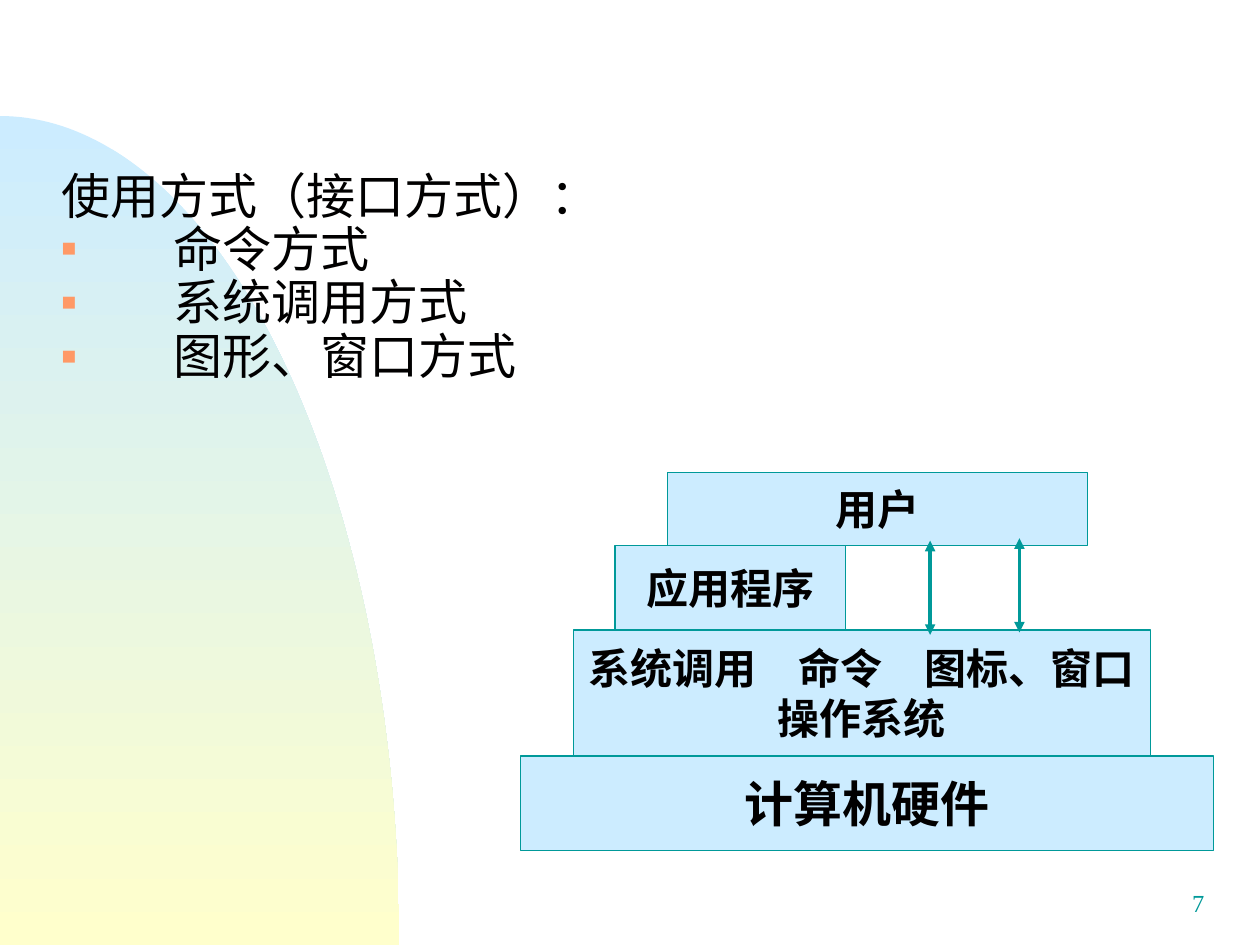
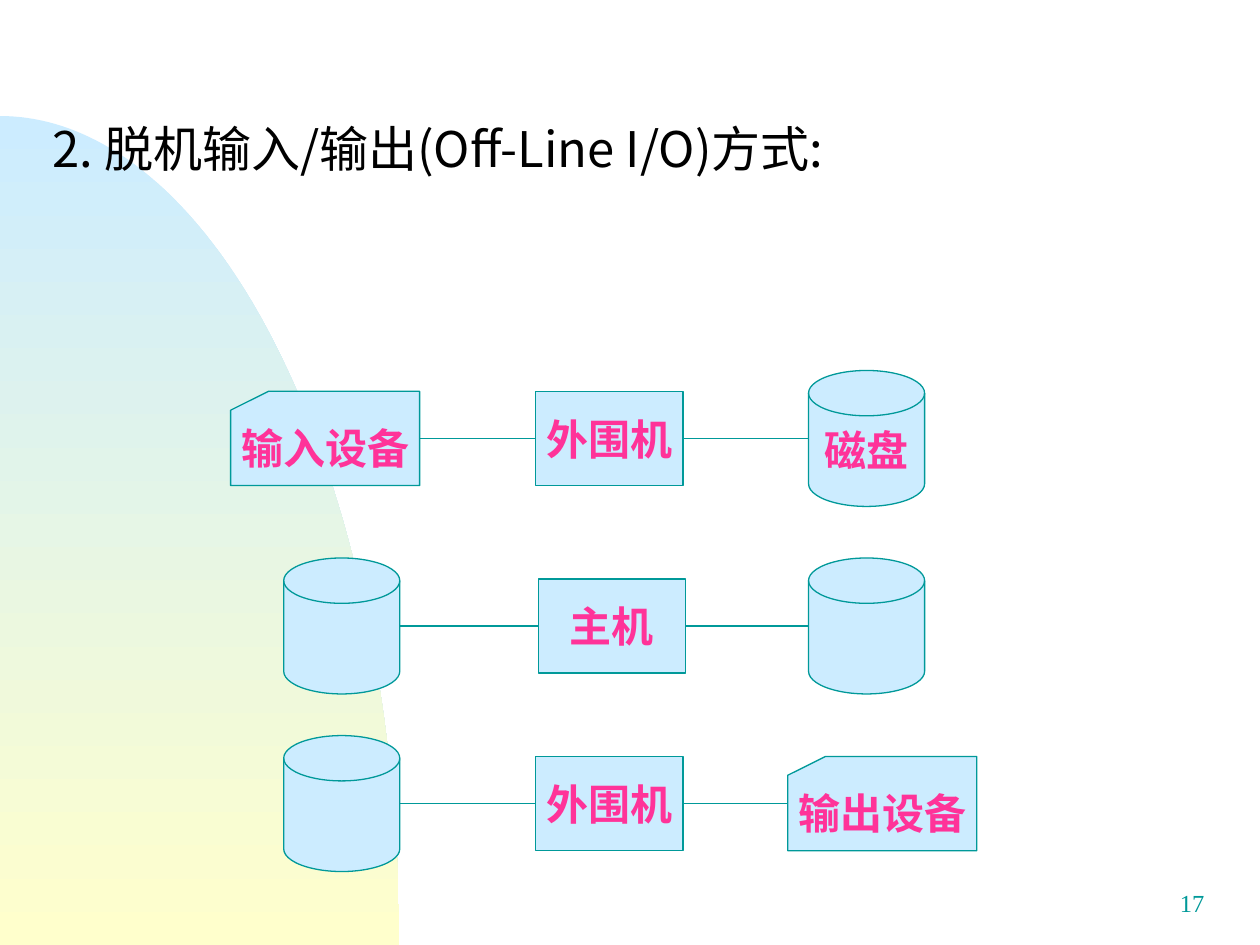
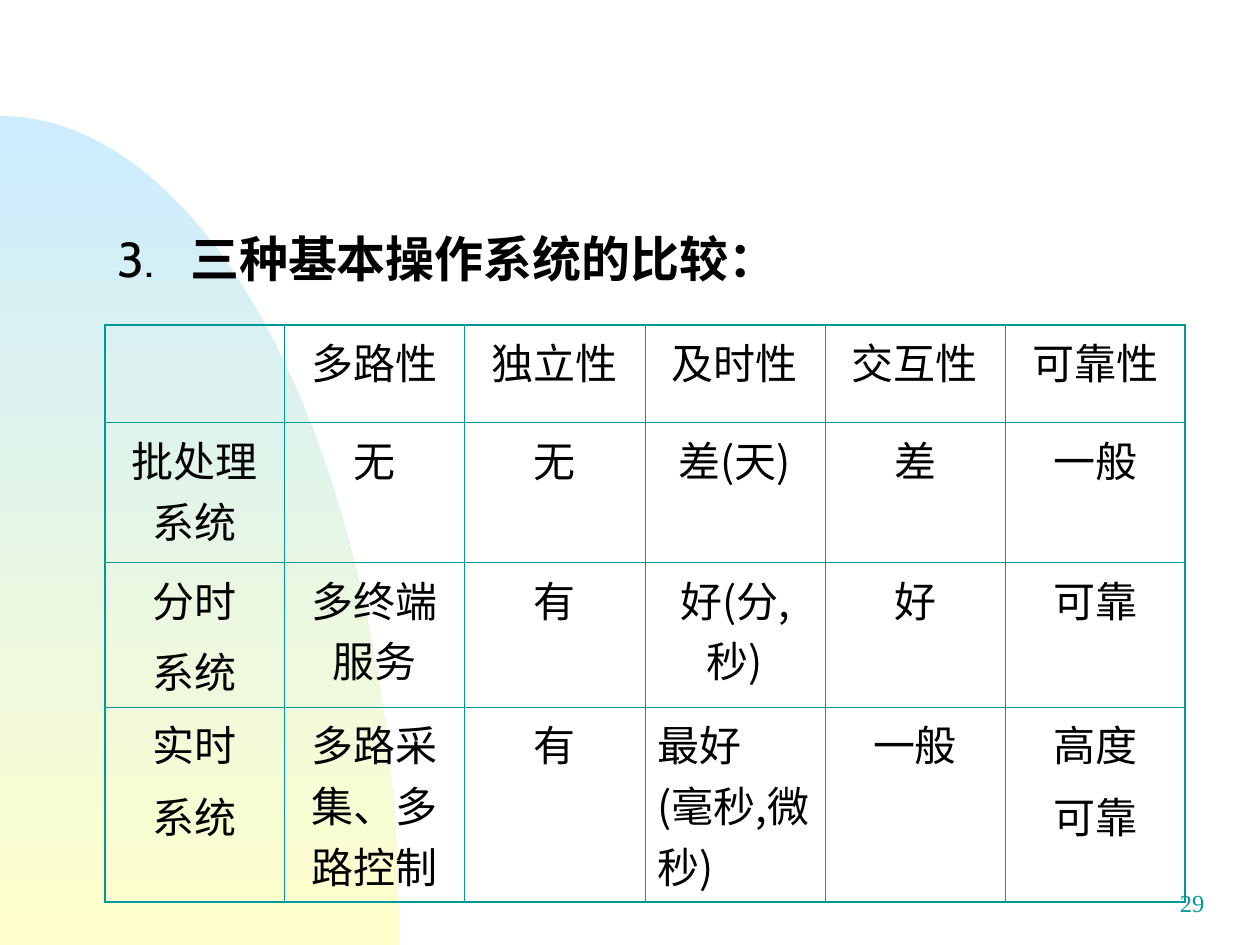
from math import cos, pi, sin

from lxml.etree import SubElement
from pptx import Presentation
from pptx.dml.color import RGBColor
from pptx.enum.lang import MSO_LANGUAGE_ID
from pptx.enum.shapes import MSO_CONNECTOR, MSO_SHAPE
from pptx.enum.text import MSO_ANCHOR, MSO_AUTO_SIZE, PP_ALIGN
from pptx.oxml.ns import qn
from pptx.util import Cm, Pt

COLORS = {
    "teal": "009999",
    "sky": "CCECFF",
    "cream": "FFFFCC",
    "ink": "010000",
    "black": "000000",
    "pink": "FF3399",
    "orange": "FF9966",
}
CHINESE_FONT = "Noto Sans CJK SC"
LABEL_FONT = "Cabin"
SLIDE_WIDTH, SLIDE_HEIGHT = 25.4, 19.05
WEDGE_WIDTH, WEDGE_HEIGHT, WEDGE_STEPS = 8.05, 16.71, 90

INTERFACES = ["使用方式（接口方式）：", "命令方式", "系统调用方式", "图形、窗口方式"]
LAYERS_TOP = 9.53
LAYERS = [
    ("用户", 13.46, 8.46, 1.47, 24),
    ("应用程序", 12.4, 4.65, 1.7, 24),
    ("系统调用　命令　图标、窗口\n操作系统", 11.56, 11.63, 2.54, 24),
    ("计算机硬件", 10.49, 13.97, 1.9, 28),
]
ACCESS_ARROWS = [(18.75, 10.9), (20.55, 10.85)]
ACCESS_LENGTH = 1.9

OFFLINE_TITLE = "2. 脱机输入/输出(Off-Line I/O)方式:"
DEVICES = {
    "card": (MSO_SHAPE.FLOWCHART_PUNCHED_TAPE, 3.81, 1.9),
    "disk": (MSO_SHAPE.FLOWCHART_MAGNETIC_DISK, 2.34, 2.74),
    "machine": (MSO_SHAPE.FLOWCHART_PROCESS, 2.97, 1.9),
}
DEVICES["card"] = (MSO_SHAPE.FLOWCHART_CARD, 3.81, 1.9)
FLOWS = [
    (8.84, [("card", "输入设备", 4.65), ("machine", "外围机", 10.8), ("disk", "磁盘", 16.3)]),
    (12.62, [("disk", "", 5.72), ("machine", "主机", 10.85), ("disk", "", 16.3)]),
    (16.2, [("disk", "", 5.72), ("machine", "外围机", 10.8), ("card", "输出设备", 15.88)]),
]

COMPARISON_TITLE = "3.\t三种基本操作系统的比较："
COMPARISON = [
    ["", "多路性", "独立性", "及时性", "交互性", "可靠性"],
    ["批处理系统", "无", "无", "差(天)", "差", "一般"],
    ["分时\n系统", "多终端服务", "有", "好(分,秒)", "好", "可靠"],
    ["实时\n系统", "多路采集、多路控制", "有", "最好\n(毫秒,微秒)", "一般", "高度\n可靠"],
]
LEFT_ALIGNED_CELL = (3, 3)
ROW_HEIGHTS = [1.96, 2.82, 2.92, 3.94]
COLUMN_WIDTH = 3.63


def color(name):
    return RGBColor.from_string(COLORS[name])


def place(shape, left, top, width, height):
    shape.left, shape.top, shape.width, shape.height = map(Cm, (left, top, width, height))


def style_span(span, size, font, ink, bold=False):
    span.font.size = Pt(size)
    span.font.name = font
    span.font.bold = bold
    span.font.color.rgb = color(ink)
    span.font.language_id = MSO_LANGUAGE_ID.SIMPLIFIED_CHINESE
    SubElement(span._r.get_or_add_rPr(), qn("a:ea"), typeface=CHINESE_FONT)


def style_text(frame, size, font, ink, bold=False, align=PP_ALIGN.CENTER):
    for para in frame.paragraphs:
        para.alignment = align
        for span in para.runs:
            style_span(span, size, font, ink, bold)


def add_wedge(deck, slide):
    angles = [pi / 2 * step / WEDGE_STEPS for step in range(WEDGE_STEPS + 1)]
    curve = [
        (Cm(WEDGE_WIDTH * sin(angle)), Cm(SLIDE_HEIGHT - WEDGE_HEIGHT * cos(angle)))
        for angle in angles
    ]
    builder = slide.shapes.build_freeform(0, Cm(SLIDE_HEIGHT))
    builder.add_line_segments(curve, close=True)
    wedge = builder.convert_to_shape()
    wedge.shadow.inherit = False
    wedge.line.fill.background()
    wedge.fill.gradient()
    wedge.fill.gradient_angle = 270
    for stop, name, position in zip(wedge.fill.gradient_stops, ("sky", "cream"), (0, 1)):
        stop.color.rgb = color(name)
        stop.position = position
    wedge.element.nvSpPr.cNvPr.set("id", "20")
    deck.slide_master.shapes.element.insert(2, wedge.element)


def add_page(deck, layout, number):
    page = deck.slides.add_slide(deck.slide_layouts[layout])
    box = page.shapes.add_textbox(Cm(19.25), Cm(17.78), Cm(5.28), Cm(1.27))
    box.text_frame.word_wrap = True
    box.text_frame.text = str(number)
    style_text(box.text_frame, 14, "Times New Roman", "teal", align=PP_ALIGN.RIGHT)
    return page


def set_title(page, text, left, top, font, ink):
    title = page.shapes.title
    place(title, left, top, SLIDE_WIDTH - 2 * left, 1.7)
    frame = title.text_frame
    frame.auto_size = MSO_AUTO_SIZE.NONE
    frame.vertical_anchor = MSO_ANCHOR.TOP
    frame.text = text
    style_text(frame, 28, font, ink, align=PP_ALIGN.LEFT)
    return frame.paragraphs[0]


def add_block(page, preset, text, left, top, width, height, size, ink):
    block = page.shapes.add_shape(preset, Cm(left), Cm(top), Cm(width), Cm(height))
    block.shadow.inherit = False
    block.fill.solid()
    block.fill.fore_color.rgb = color("sky")
    block.line.color.rgb = color("teal")
    block.line.width = Pt(0.75)
    if text:
        frame = block.text_frame
        frame.word_wrap = False
        frame.vertical_anchor = MSO_ANCHOR.MIDDLE
        frame.text = text
        style_text(frame, size, LABEL_FONT, ink, bold=True)
    return block


def add_line(page, start, end, width, arrows=False):
    line = page.shapes.add_connector(MSO_CONNECTOR.STRAIGHT, *start, *end)
    line.line.color.rgb = color("teal")
    line.line.width = Pt(width)
    if arrows:
        for tag in ("a:headEnd", "a:tailEnd"):
            SubElement(line.line._get_or_add_ln(), qn(tag), type="triangle")
    SubElement(line.element.spPr, qn("a:effectLst"))
    return line


def set_bullet(para, bulleted):
    properties = para._p.get_or_add_pPr()
    properties.set("marL", str(Cm(2.26)))
    properties.set("indent", str(Cm(-2.26)))
    if not bulleted:
        SubElement(properties, qn("a:buNone"))
        return
    SubElement(SubElement(properties, qn("a:buClr")), qn("a:srgbClr"), val=COLORS["orange"])
    SubElement(properties, qn("a:buSzPct"), val="50000")
    SubElement(properties, qn("a:buChar"), char="■")


def fill_interfaces(page):
    title = page.shapes.title
    title.element.getparent().remove(title.element)
    body = page.placeholders[1]
    place(body, 0.99, 3.2, 23.77, 14.17)
    frame = body.text_frame
    frame.auto_size = MSO_AUTO_SIZE.NONE
    frame.text = "\n".join(INTERFACES)
    for index, para in enumerate(frame.paragraphs):
        set_bullet(para, index > 0)
        para.space_before = Pt(0.5 if index else 0)
        para.line_spacing = 0.9 if index else 1.0
    style_text(frame, 28, CHINESE_FONT, "ink", align=PP_ALIGN.LEFT)

    top = LAYERS_TOP
    for text, left, width, height, size in LAYERS:
        add_block(page, MSO_SHAPE.RECTANGLE, text, left, top, width, height, size, "ink")
        top += height
    for left, top in ACCESS_ARROWS:
        add_line(page, (Cm(left), Cm(top)), (Cm(left), Cm(top + ACCESS_LENGTH)), 2, arrows=True)


def fill_offline(page):
    set_title(page, OFFLINE_TITLE, 0.81, 2.27, CHINESE_FONT, "black")
    for middle, devices in FLOWS:
        blocks = []
        for kind, text, left in devices:
            preset, width, height = DEVICES[kind]
            block = add_block(
                page, preset, text, left, middle - height / 2, width, height, 24, "pink"
            )
            blocks.append((kind, block))
        for (source_kind, source), (target_kind, target) in zip(blocks, blocks[1:]):
            start = (source.left + source.width, Cm(middle))
            link = add_line(page, start, (target.left, Cm(middle)), 0.75)
            if source_kind != "disk":
                link.begin_connect(source, 3)
            if target_kind != "disk":
                link.end_connect(target, 1)


def set_borders(cell, row, column):
    outer = {
        "a:lnL": column == 0,
        "a:lnR": column == len(COMPARISON[0]) - 1,
        "a:lnT": row == 0,
        "a:lnB": row == len(COMPARISON) - 1,
    }
    properties = cell._tc.get_or_add_tcPr()
    for tag, thick in outer.items():
        border = SubElement(properties, qn(tag), w=str(Pt(1.47 if thick else 0.45)))
        SubElement(SubElement(border, qn("a:solidFill")), qn("a:srgbClr"), val=COLORS["teal"])


def fill_comparison(page):
    heading = set_title(page, COMPARISON_TITLE, 2.11, 4.48, LABEL_FONT, "ink")
    number, name = COMPARISON_TITLE.split("\t")
    heading.text = number + "\t"
    tabs = SubElement(heading._p.get_or_add_pPr(), qn("a:tabLst"))
    SubElement(tabs, qn("a:tab"), pos=str(Cm(1.47)), algn="l")
    heading.add_run().text = name
    for span in heading.runs:
        style_span(span, 28, LABEL_FONT, "ink", bold=span.text == name)

    columns = len(COMPARISON[0])
    table = page.shapes.add_table(
        len(COMPARISON), columns, Cm(2.11), Cm(6.55),
        Cm(COLUMN_WIDTH * columns), Cm(sum(ROW_HEIGHTS)),
    ).table
    table.first_row = table.horz_banding = False
    for column in table.columns:
        column.width = Cm(COLUMN_WIDTH)
    for row, (texts, height) in enumerate(zip(COMPARISON, ROW_HEIGHTS)):
        table.rows[row].height = Cm(height)
        for column, text in enumerate(texts):
            cell = table.cell(row, column)
            set_borders(cell, row, column)
            cell.fill.background()
            if not text:
                continue
            cell.text_frame.text = text
            left_aligned = (row, column) == LEFT_ALIGNED_CELL
            font = CHINESE_FONT if "(" in text else "Arial"
            align = PP_ALIGN.LEFT if left_aligned else PP_ALIGN.CENTER
            style_text(cell.text_frame, 24, font, "ink", align=align)
            for para in cell.text_frame.paragraphs[1:]:
                para.space_before = Pt(0 if left_aligned else 6)


def main():
    deck = Presentation()
    deck.slide_width, deck.slide_height = Cm(SLIDE_WIDTH), Cm(SLIDE_HEIGHT)
    pages = [(1, 7, fill_interfaces), (5, 17, fill_offline), (5, 29, fill_comparison)]
    for layout, number, fill_page in pages:
        fill_page(add_page(deck, layout, number))
    add_wedge(deck, deck.slides[0])
    deck.save("out.pptx")


if __name__ == "__main__":
    main()
